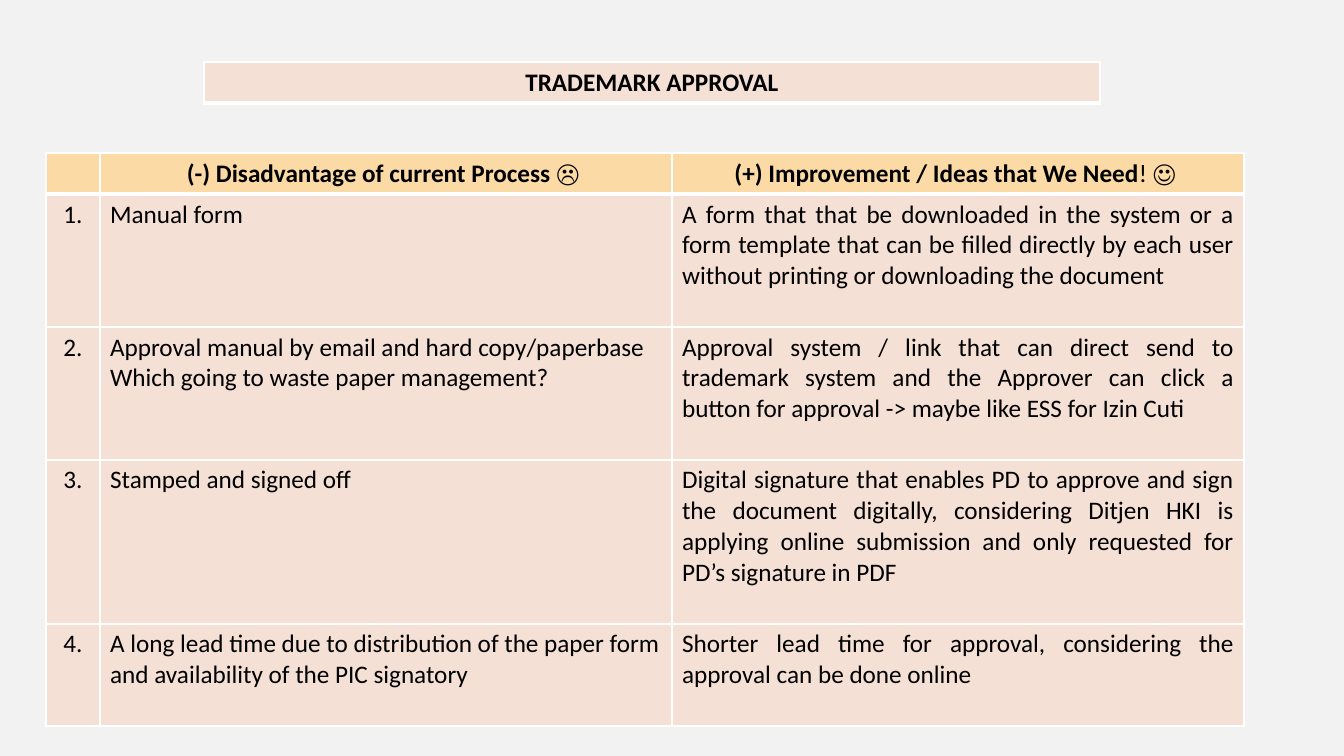
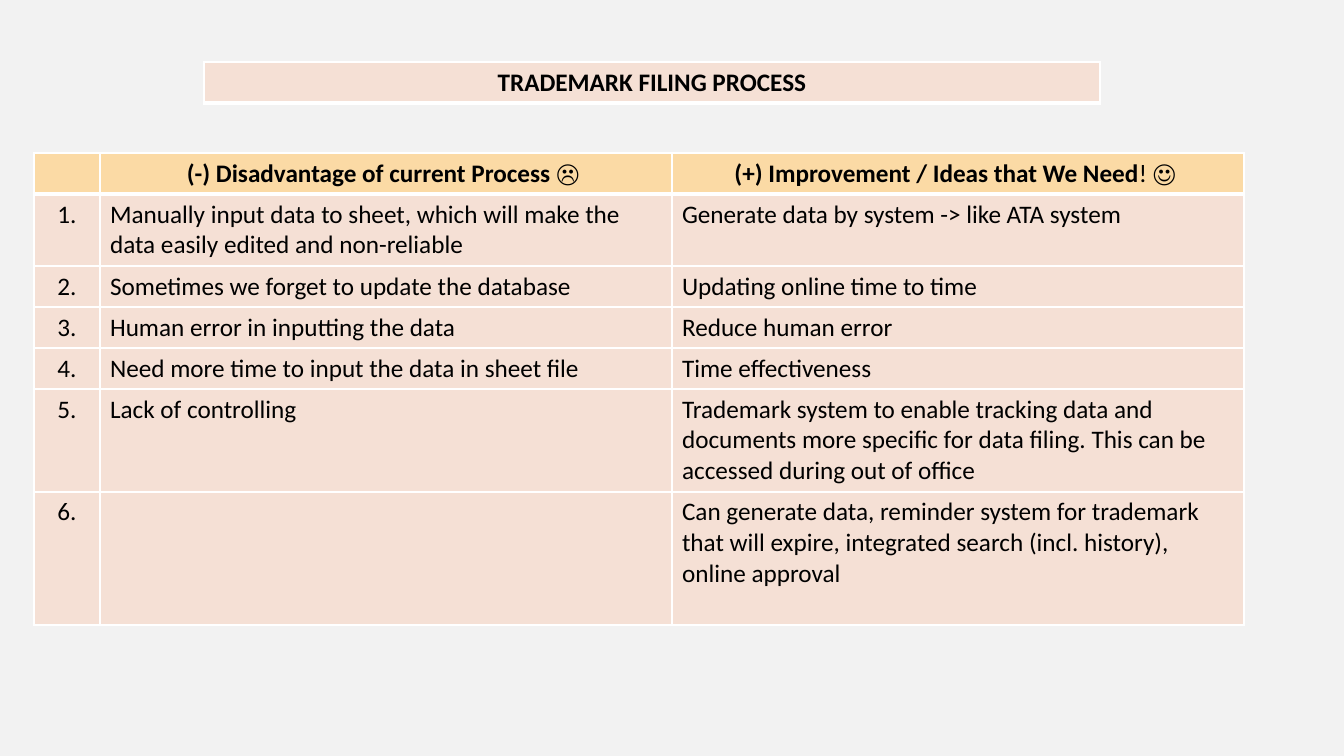
from lxml.etree import SubElement
from pptx import Presentation
from pptx.dml.color import RGBColor
from pptx.enum.text import PP_ALIGN as AL
from pptx.oxml.ns import qn
from pptx.util import Emu, Pt

PX = 914400 / 100.8
FONT, SIZE = "Calibri", Pt(18)
INK, WHITE, PAGE = "000000", "FFFFFF", "F2F2F2"
HEAD, BODY = "FBDAA5", "F5E0D5"
THIN, THICK = 1, 3
TOP, SPLIT = 153, 100  # top of the grid, edge between numbers and ideas


def px(n):
    return Emu(round(n * PX))


def add_grid(s, x, y, widths, heights, rows, aligns, head_fill):
    """Draw a table; a cell is a list of paragraphs, each a list of (text, bold) runs."""
    frame = s.shapes.add_table(len(rows), len(widths), px(x), px(y),
                               px(sum(widths)), px(sum(heights)))
    table = frame.table
    table.first_row = table.horz_banding = False
    for col, w in zip(table.columns, widths):
        col.width = px(w)
    for i, (row, h) in enumerate(zip(rows, heights)):
        table.rows[i].height = px(h)
        for j, paragraphs in enumerate(row):
            cell = table.cell(i, j)
            # Borders go before the fill; the line under the first row is thick
            tcPr = cell._tc.get_or_add_tcPr()
            weights = {"L": THIN, "R": THIN,
                       "T": THICK if i == 1 else THIN,
                       "B": THICK if i == 0 else THIN}
            for side, weight in weights.items():
                ln = SubElement(tcPr, qn(f"a:ln{side}"), w=str(Pt(weight)))
                SubElement(SubElement(ln, qn("a:solidFill")), qn("a:srgbClr"), val=WHITE)
            cell.fill.solid()
            cell.fill.fore_color.rgb = RGBColor.from_string(BODY if i else head_fill)
            # Text
            tf = cell.text_frame
            for k, runs in enumerate(paragraphs):
                p = tf.add_paragraph() if k else tf.paragraphs[0]
                p.alignment = aligns[j] if i else AL.CENTER
                for text, bold in runs:
                    r = p.add_run()
                    r.text = text
                    r.font.name, r.font.size, r.font.bold = FONT, SIZE, bold
                    r.font.color.rgb = RGBColor.from_string(INK)


HEADER = [
    [[("(-) Disadvantage of current Process ", True), ("☹ ", False)]],
    [[("(+) Improvement / Ideas that We Need", True), ("! ☺ ", False)]],
]

# Title, left edge of the numbers, alignment of the ideas, row heights,
# then pairs of disadvantage and idea
SLIDES = [
    ("TRADEMARK APPROVAL", 46, AL.JUSTIFY, [41, 133, 133, 164, 102], [
        ("Manual form",
         "A form that that be downloaded in the system or a form template that can be "
         "filled directly by each user without printing or downloading the document"),
        ("Approval manual by email and hard copy/paperbase\n"
         "Which going to waste paper management?",
         "Approval system / link that can direct send to trademark system and the "
         "Approver can click a button for approval -> maybe like ESS for Izin Cuti"),
        ("Stamped and signed off",
         "Digital signature that enables PD to approve and sign the document digitally, "
         "considering Ditjen HKI is applying online submission and only requested for "
         "PD’s signature in PDF"),
        ("A long lead time due to distribution of the paper form and availability of "
         "the PIC signatory",
         "Shorter lead time for approval, considering the approval can be done online"),
    ]),
    ("TRADEMARK FILING PROCESS", 34, AL.LEFT, [41, 72, 41, 41, 41, 103, 133], [
        ("Manually input data to sheet, which will make the data easily edited and "
         "non-reliable",
         "Generate data by system -> like ATA system"),
        ("Sometimes we forget to update the database", "Updating online time to time"),
        ("Human error in inputting the data", "Reduce human error"),
        ("Need more time to input the data in sheet file", "Time effectiveness"),
        ("Lack of controlling",
         "Trademark system to enable tracking data and documents more specific for "
         "data filing. This can be accessed during out of office"),
        ("",
         "Can generate data, reminder system for trademark that will expire, integrated "
         "search (incl. history), online approval"),
    ]),
]

prs = Presentation()
prs.slide_width, prs.slide_height = px(1344), px(756)

for title, left, idea_align, heights, pairs in SLIDES:
    s = prs.slides.add_slide(prs.slide_layouts[6])
    s.background.fill.solid()
    s.background.fill.fore_color.rgb = RGBColor.from_string(PAGE)

    # Title band
    add_grid(s, 204, 62, [896], [41], [[[[(title, True)]]]], [AL.CENTER], BODY)

    # Disadvantages and ideas
    rows = [HEADER]
    for pair in pairs:
        rows.append([[[(line, False)] for line in text.split("\n") if line]
                     for text in pair])
    add_grid(s, SPLIT, TOP, [572, 572], heights, rows, [AL.LEFT, idea_align], HEAD)

    # Row numbers
    numbers = [[[]]] + [[[[(f"{n}.", False)]]] for n in range(1, len(pairs) + 1)]
    add_grid(s, left, TOP, [SPLIT - left], heights, numbers, [AL.CENTER], HEAD)

prs.save("out.pptx")
